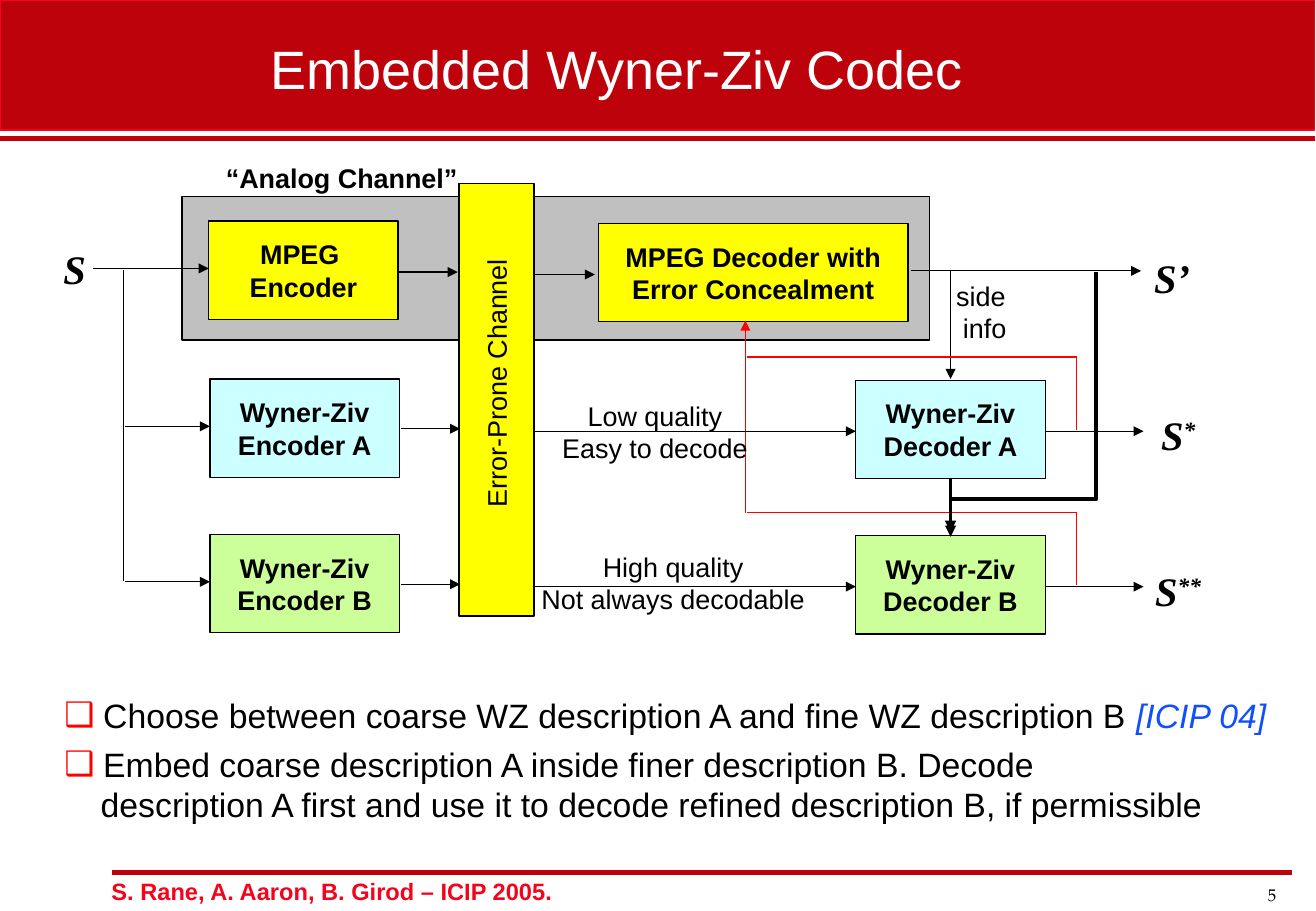
from lxml.etree import SubElement
from pptx import Presentation
from pptx.dml.color import RGBColor
from pptx.enum.shapes import MSO_CONNECTOR, MSO_SHAPE
from pptx.enum.text import MSO_ANCHOR, MSO_AUTO_SIZE, PP_ALIGN
from pptx.oxml.ns import qn
from pptx.util import Inches, Pt

BLACK, RED, DARK, YELLOW = "000000", "FF0000", "BE020B", "FFFF00"
CENTER = PP_ALIGN.CENTER
SHIFT = 1.28  # from description A down to description B
hue = RGBColor.from_string

deck = Presentation()
deck.slide_width, deck.slide_height = Inches(10.84), Inches(7.5)
slide = deck.slides.add_slide(deck.slide_layouts[5])
shapes = slide.shapes


def write(frame, text, size=16, face="Arial", color=BLACK, bold=False,
          italic=False, align=PP_ALIGN.LEFT, base=0, join=False):
    """Add one paragraph per line; join continues the last paragraph."""
    for line in text.split("\n"):
        para = frame.paragraphs[-1]
        if para.runs and not join:
            para = frame.add_paragraph()
        para.alignment = align
        run = para.add_run()
        run.text = line
        font = run.font
        font.size, font.name = Pt(size), face
        font.bold, font.italic = bold, italic
        font.color.rgb = hue(color)
        if base:
            run._r.get_or_add_rPr().set("baseline", str(base * 1000))


def place(left, top, width, height, inset=0.0, wrap=True, turn=0):
    """Add a text box and return its frame."""
    box = shapes.add_textbox(*map(Inches, (left, top, width, height)))
    box.rotation = turn
    frame = box.text_frame
    frame.word_wrap = wrap
    frame.margin_left = frame.margin_right = Inches(inset)
    return frame


# Blocks: left, top, width, height, fill, line colour, line width, text
blocks = [
    (0, 0, 10.83, 1.07, DARK, "F4041B", 1, ""),
    (1.5, 1.62, 6.16, 1.18, "C0C0C0", BLACK, 0.75, ""),
    (3.78, 1.51, 0.62, 3.56, YELLOW, BLACK, 1, ""),
    (1.72, 1.82, 1.56, 0.81, YELLOW, BLACK, 0.75, "MPEG \nEncoder"),
    (4.93, 1.84, 2.55, 0.81, YELLOW, BLACK, 0.75,
     "MPEG Decoder with Error Concealment"),
]

# Lines: start x, y, end x, y, colour, width, arrow at the end
lines = [
    (0.92, 7.18, 10.64, 7.18, DARK, 3, False),
    (0, 1.14, 10.83, 1.14, DARK, 3, False),
    (7.5, 2.23, 9.4, 2.23, BLACK, 0.75, True),
    (3.29, 2.24, 3.77, 2.24, BLACK, 0.75, True),
    (4.41, 2.26, 4.9, 2.26, BLACK, 0.75, True),
    (0.77, 2.21, 1.72, 2.21, BLACK, 0.75, True),
    (7.83, 2.23, 7.83, 3.12, BLACK, 0.75, True),
    (7.83, 3.94, 7.83, 4.42, BLACK, 2.25, True),
    (6.14, 2.94, 6.14, 2.64, RED, 0.75, True),
    (6.14, 2.92, 6.14, 4.22, RED, 0.75, False),
]

for row, (name, fill) in enumerate([("A", "CCFFFF"), ("B", "CCFF99")]):
    down = row * SHIFT
    for left, top, role in [(1.73, 3.12, "Encoder"), (7.05, 3.13, "Decoder")]:
        blocks.append((left, top + down, 1.56, 0.81, fill, BLACK, 0.75,
                       f"Wyner-Ziv\n{role} {name}"))
    for start, end, y in [(1.03, 1.73, 3.51), (3.3, 3.79, 3.53),
                          (4.41, 7.05, 3.55), (8.61, 9.42, 3.55)]:
        lines.append((start, y + down, end, y + down, BLACK, 0.75, True))
    lines += [
        (1.02, 2.22 + down, 1.02, 3.5 + down, BLACK, 0.75, False),
        (8.87, 2.94 + down, 6.15, 2.94 + down, RED, 0.75, False),
        (8.87, 2.94 + down, 8.87, 3.54 + down, RED, 0.75, False),
    ]

for *spot, fill, edge, width, text in blocks:
    block = shapes.add_shape(MSO_SHAPE.RECTANGLE, *map(Inches, spot))
    block.shadow.inherit = False
    block.fill.solid()
    block.fill.fore_color.rgb = hue(fill)
    block.line.color.rgb = hue(edge)
    block.line.width = Pt(width)
    if text:
        block.text_frame.vertical_anchor = MSO_ANCHOR.MIDDLE
        write(block.text_frame, text, bold=True, align=CENTER)

strokes = []
for *ends, color, width, arrow in lines:
    link = shapes.add_connector(MSO_CONNECTOR.STRAIGHT, *map(Inches, ends))
    strokes.append((link, color, width, arrow))

route = shapes.build_freeform(Inches(9.03), Inches(2.24))
route.add_line_segments([(Inches(x), Inches(y)) for x, y in
                         [(9.03, 4.11), (7.83, 4.11), (7.83, 4.38)]], close=False)
bend = route.convert_to_shape()
bend.fill.background()
strokes.append((bend, BLACK, 2.25, True))

for stroke, color, width, arrow in strokes:
    stroke.line.color.rgb = hue(color)
    stroke.line.width = Pt(width)
    props = stroke.element.spPr
    if arrow:
        SubElement(props.find(qn("a:ln")), qn("a:tailEnd"), type="triangle")
    SubElement(props, qn("a:effectLst"))

# Title, moved in front of the header band
title = shapes.title
shapes.element.append(title.element)
title.left, title.top = Inches(2.23), Inches(0.24)
title.width, title.height = Inches(5.71), Inches(0.64)
head = title.text_frame
head.auto_size = MSO_AUTO_SIZE.NONE
head.vertical_anchor = MSO_ANCHOR.TOP
head.margin_left = head.margin_right = 0
head.word_wrap = False
write(head, "Embedded Wyner-Ziv Codec", size=32, color="FFFFFF", align=CENTER)

# Labels of the diagram
for left, top, width, height, text, bold in [
    (1.86, 1.28, 1.91, 0.37, "“Analog Channel”", True),
    (7.87, 2.25, 0.42, 0.64, "side\n info", False),
    (4.63, 3.24, 1.53, 0.64, "Low quality\nEasy to decode", False),
    (4.46, 4.48, 2.17, 0.64, "High quality\nNot always decodable", False),
]:
    label = place(left, top, width, height, wrap=False)
    write(label, text, bold=bold, align=CENTER)
label = place(2.84, 2.97, 2.5, 0.37, turn=270)
write(label, "Error-Prone Channel", align=CENTER)

signal = dict(size=24, face="Times New Roman", bold=True, italic=True,
              align=CENTER)
for left, top, text, stars in [(0.18, 1.96, "S", ""), (9.22, 2.03, "S’", ""),
                               (9.27, 3.33, "S", "*"), (9.27, 4.61, "S", "**")]:
    label = place(left, top, 0.87, 0.38, inset=0.1)
    write(label, text, **signal)
    if stars:
        write(label, stars, base=30, join=True, **signal)

# Bullet points
first = place(0.53, 5.67, 10.2, 0.44)
write(first, "Choose between coarse WZ description A and fine WZ description B ", size=20)
write(first, "[ICIP 04]", size=20, color="114FFB", italic=True, join=True)
second = place(0.53, 6.07, 10.2, 0.78)
write(second, "Embed coarse description A inside finer description B. Decode\n"
      "description A first and use it to decode refined description B, if permissible",
      size=20)
for frame in (first, second):
    for order, para in enumerate(frame.paragraphs):
        props = para._p.get_or_add_pPr()
        props.set("marL", str(Inches(0.3 if order else 0.32)))
        if order == 0:
            props.set("indent", str(-Inches(0.32)))
            tint = SubElement(props, qn("a:buClr"))
            SubElement(tint, qn("a:srgbClr"), val=RED)
            SubElement(props, qn("a:buFont"), typeface="Arial")
            SubElement(props, qn("a:buChar"), char="❑")

# Footer
write(place(0.82, 7.17, 9.36, 0.33, inset=0.1),
      "S. Rane, A. Aaron, B. Girod – ICIP 2005.",
      size=14, color="F4041B", bold=True)
write(place(10.22, 7.23, 0.39, 0.29, inset=0.1), "5", size=10,
      face="TeX Gyre Pagella", align=PP_ALIGN.RIGHT)

deck.save("out.pptx")
